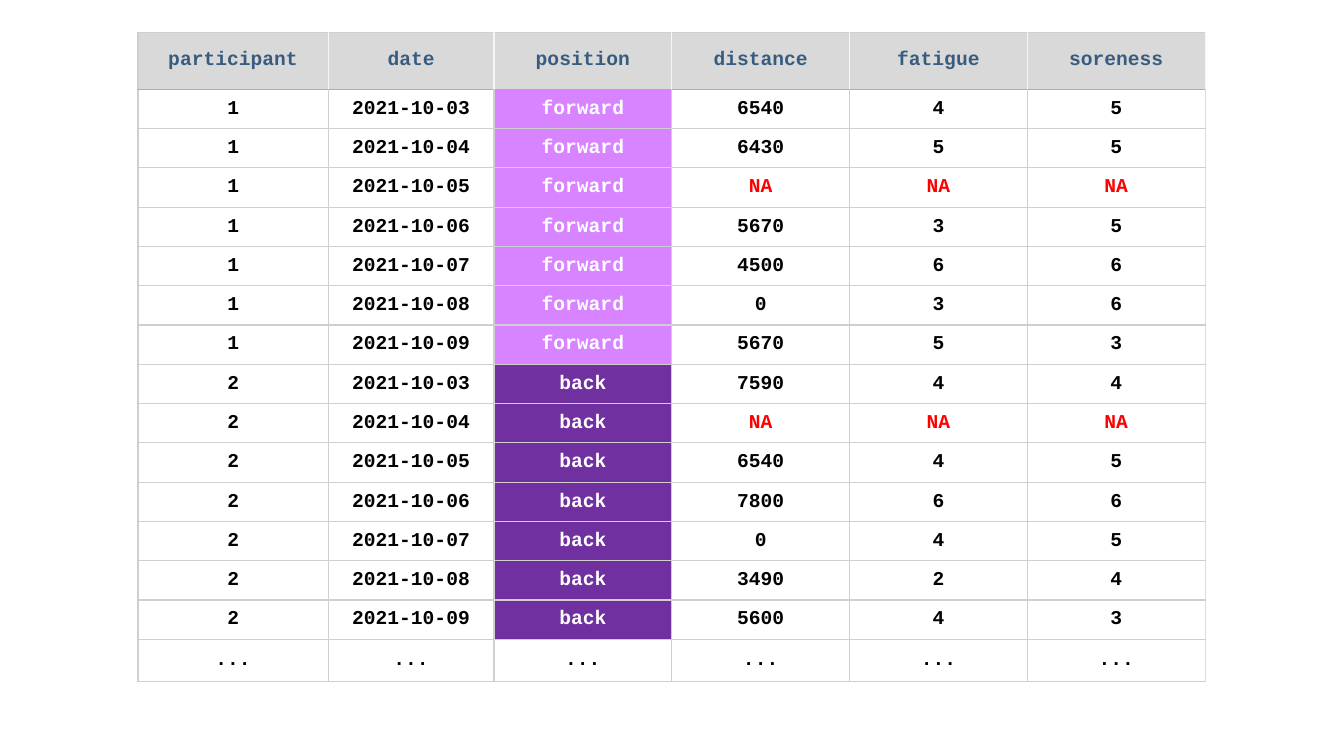
"""Build a slide with a table of daily training records for two participants."""
import pptx
import pptx.dml.color
import pptx.enum.text
import pptx.oxml
import pptx.oxml.ns
import pptx.util

Cm = pptx.util.Cm
RGBColor = pptx.dml.color.RGBColor

BLACK = RGBColor(0x00, 0x00, 0x00)
WHITE = RGBColor(0xFF, 0xFF, 0xFF)
RED = RGBColor(0xFF, 0x00, 0x00)
HEADER_BLUE = RGBColor(0x38, 0x5C, 0x80)
HEADER_GREY = RGBColor(0xD9, 0xD9, 0xD9)
FORWARD_PINK = RGBColor(0xD8, 0x83, 0xFF)
BACK_PURPLE = RGBColor(0x70, 0x30, 0xA0)
GRID_GREY = RGBColor(0xD0, 0xCE, 0xCE)
HEADER_DIVIDER = RGBColor(0xF7, 0xF5, 0xF5)
HEADER_RULE = RGBColor(0xAF, 0xAB, 0xAB)
RIGHT_EDGE = RGBColor(0xDD, 0xDD, 0xDD)

HEADINGS = ["participant", "date", "position", "distance", "fatigue", "soreness"]
POSITION_FILLS = {"forward": FORWARD_PINK, "back": BACK_PURPLE}
MEASUREMENTS = {
    "forward": ["6540 4 5", "6430 5 5", "NA NA NA", "5670 3 5",
                "4500 6 6", "0 3 6", "5670 5 3"],
    "back": ["7590 4 4", "NA NA NA", "6540 4 5", "7800 6 6",
             "0 4 5", "3490 2 4", "5600 4 3"],
}


def write_cell(cell, text, color=BLACK, fill=None, size=14, font="Courier New"):
    cell.vertical_anchor = pptx.enum.text.MSO_ANCHOR.MIDDLE
    paragraph = cell.text_frame.paragraphs[0]
    paragraph.alignment = pptx.enum.text.PP_ALIGN.CENTER
    run = paragraph.add_run()
    run.text = text
    run.font.name = font
    run.font.size = pptx.util.Pt(size)
    run.font.bold = True
    run.font.color.rgb = color
    if fill is None:
        cell.fill.background()
    else:
        cell.fill.solid()
        cell.fill.fore_color.rgb = fill


def draw_borders(cell, left, right, top, bottom):
    properties = cell._tc.get_or_add_tcPr()
    for side, color in zip("LRTB", (left, right, top, bottom)):
        properties.append(pptx.oxml.parse_xml(
            f'<a:ln{side} {pptx.oxml.ns.nsdecls("a")} w="12700"><a:solidFill>'
            f'<a:srgbClr val="{color}"/></a:solidFill></a:ln{side}>'))


records = [HEADINGS]
for participant, (position, days) in enumerate(MEASUREMENTS.items(), start=1):
    for day, values in enumerate(days, start=3):
        records.append([str(participant), f"2021-10-{day:02}", position, *values.split()])
records.append(["..."] * len(HEADINGS))

column_widths = [Cm(4.79), Cm(4.18)] + [Cm(4.48)] * 4
row_heights = [Cm(1.44)] + [Cm(0.99)] * (len(records) - 2) + [Cm(1.07)]

presentation = pptx.Presentation()
presentation.slide_width = Cm(33.87)
presentation.slide_height = Cm(19.05)
slide = presentation.slides.add_slide(presentation.slide_layouts[6])

table = slide.shapes.add_table(
    len(records), len(HEADINGS), Cm(3.48), Cm(0.81),
    sum(column_widths), sum(row_heights)).table
table.horz_banding = False
for column, width in zip(table.columns, column_widths):
    column.width = width
for row, height in zip(table.rows, row_heights):
    row.height = height

last_column = len(HEADINGS) - 1
for row_index, record in enumerate(records):
    for column_index, text in enumerate(record):
        cell = table.cell(row_index, column_index)
        if row_index == 0:
            left = GRID_GREY if column_index == 0 else HEADER_DIVIDER
            draw_borders(cell, left, HEADER_DIVIDER, GRID_GREY, HEADER_RULE)
            write_cell(cell, text, color=HEADER_BLUE, fill=HEADER_GREY)
            continue
        right = RIGHT_EDGE if column_index == last_column else GRID_GREY
        top = HEADER_RULE if row_index == 1 else GRID_GREY
        draw_borders(cell, GRID_GREY, right, top, GRID_GREY)
        if text in POSITION_FILLS:
            write_cell(cell, text, color=WHITE, fill=POSITION_FILLS[text])
        else:
            write_cell(cell, text, color=RED if text == "NA" else BLACK)

presentation.save("out.pptx")
